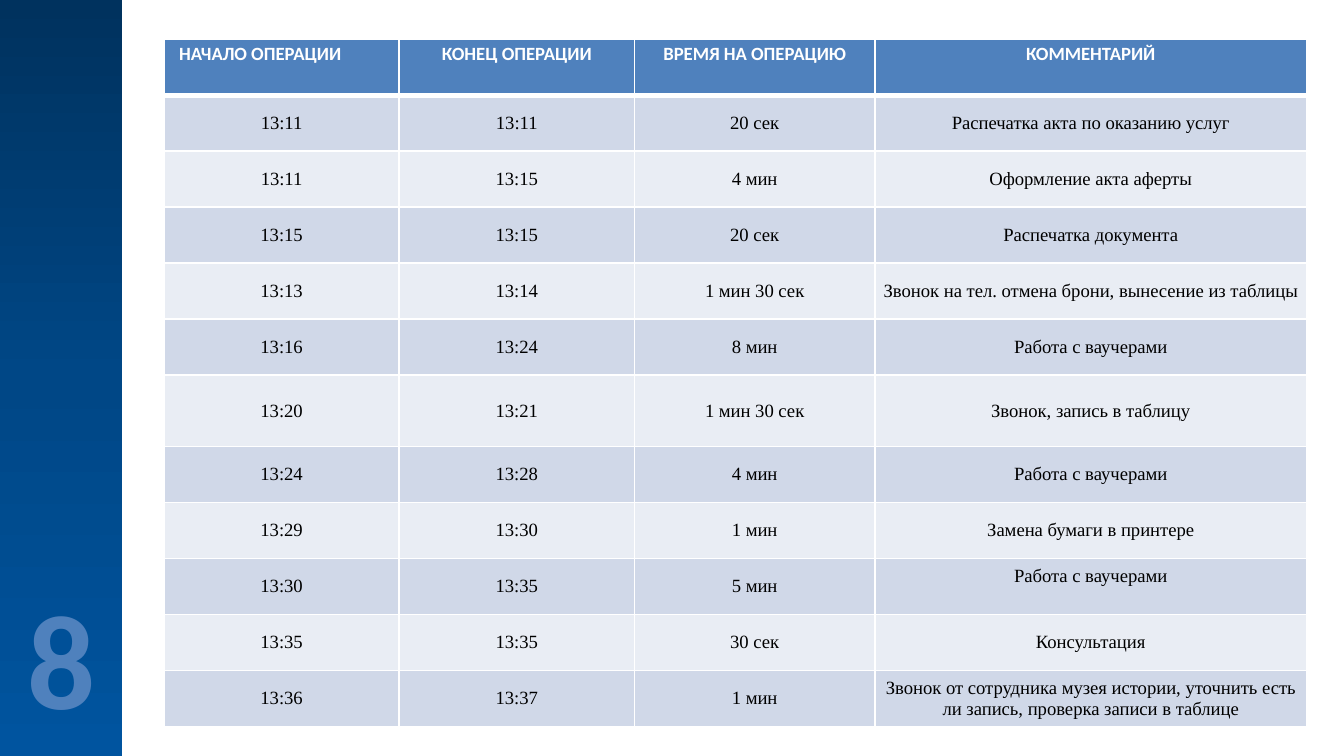
from copy import deepcopy

from pptx import Presentation
from pptx.dml.color import RGBColor
from pptx.enum.shapes import MSO_SHAPE
from pptx.enum.text import MSO_ANCHOR, MSO_AUTO_SIZE, PP_ALIGN
from pptx.oxml import parse_xml
from pptx.oxml.ns import nsdecls, qn
from pptx.util import Inches, Pt

RECTANGLE = MSO_SHAPE.RECTANGLE
CENTER = PP_ALIGN.CENTER
TOP, MIDDLE = MSO_ANCHOR.TOP, MSO_ANCHOR.MIDDLE
FIT_SHAPE = MSO_AUTO_SIZE.SHAPE_TO_FIT_TEXT

HEADINGS = ("НАЧАЛО ОПЕРАЦИИ", "КОНЕЦ ОПЕРАЦИИ", "ВРЕМЯ НА ОПЕРАЦИЮ", "КОММЕНТАРИЙ")
OPERATIONS = [
    ("13:11", "13:11", "20 сек", "Распечатка акта по оказанию услуг"),
    ("13:11", "13:15", "4 мин", "Оформление акта аферты"),
    ("13:15", "13:15", "20 сек", "Распечатка документа"),
    ("13:13", "13:14", "1 мин 30 сек", "Звонок на тел. отмена брони, вынесение из таблицы"),
    ("13:16", "13:24", "8 мин", "Работа с ваучерами"),
    ("13:20", "13:21", "1 мин 30 сек", "Звонок, запись в таблицу"),
    ("13:24", "13:28", "4 мин", "Работа с ваучерами"),
    ("13:29", "13:30", "1 мин", "Замена бумаги в принтере"),
    ("13:30", "13:35", "5 мин", "Работа с ваучерами"),
    ("13:35", "13:35", "30 сек", "Консультация"),
    ("13:36", "13:37", "1 мин",
     "Звонок от сотрудника музея истории, уточнить есть ли запись, проверка записи в таблице"),
]
PAGE_NUMBER = "8"

SIDEBAR_STOPS = [(0, "00325E"), (0.5, "004786"), (1, "00549F")]
BLUE, WHITE, BLACK = "4F81BD", "FFFFFF", "000000"
STRIPES = ("D0D8E8", "E9EDF4")

SLIDE_W = 10
SLIDE_H = SLIDE_W * 9 / 16
SIDEBAR_W = 0.91
TABLE_LEFT, TABLE_TOP, TABLE_W, TABLE_H = 1.22, 0.29, 8.5, 5.12
COLUMN_WIDTHS = (1.75, 1.75, 1.79, 3.21)
TALL_ROW, TALL_ROW_H = 6, 0.53

HEADING_FONT = {"name": "Calibri", "size": Pt(10), "bold": True}
BODY_FONT = {"name": "Times New Roman", "size": Pt(10), "bold": False}
NUMBER_FONT = {"name": "Calibri", "size": Pt(72), "bold": True}
HEADING_CELL = {"vertical_anchor": TOP}
BODY_CELL = {
    "vertical_anchor": MIDDLE,
    "margin_left": Inches(0.03), "margin_right": Inches(0.03),
    "margin_top": Inches(0.02), "margin_bottom": Inches(0.02),
}
CELL_EXCEPTIONS = {
    (0, 0): {"margin_left": Inches(0), "margin_right": Inches(0.32)},
    (9, 3): {"margin_bottom": Inches(0.17)},
}


def rgb(color):
    return RGBColor.from_string(color)


def apply(target, values):
    for name, value in values.items():
        setattr(target, name, value)


def line(tag, color, points):
    return parse_xml(
        f'<a:{tag} {nsdecls("a")} w="{Pt(points)}"><a:solidFill>'
        f'<a:srgbClr val="{color}"/></a:solidFill></a:{tag}>'
    )


def add_sidebar(slide):
    sidebar = slide.shapes.add_shape(RECTANGLE, 0, 0, Inches(SIDEBAR_W), Inches(SLIDE_H))
    sidebar.shadow.inherit = False
    sidebar.line.fill.background()
    fill = sidebar.fill
    fill.gradient()
    fill.gradient_angle = 270
    stop_list = sidebar._element.spPr.find(qn("a:gradFill")).find(qn("a:gsLst"))
    stop_list.append(deepcopy(stop_list[0]))
    for stop, (position, color) in zip(fill.gradient_stops, SIDEBAR_STOPS):
        stop.position = position
        stop.color.rgb = rgb(color)


def add_page_number(slide):
    number = slide.shapes.add_textbox(Inches(0.1), Inches(4.23), Inches(0.71), Inches(1.31))
    apply(number.text_frame, {"word_wrap": False, "auto_size": FIT_SHAPE})
    paragraph = number.text_frame.paragraphs[0]
    paragraph.alignment = CENTER
    run = paragraph.add_run()
    run.text = PAGE_NUMBER
    apply(run.font, NUMBER_FONT)
    run.font.fill.background()
    run._r.get_or_add_rPr().insert(0, line("ln", BLUE, 1.25))


def fill_cell(cell, text, row, column):
    heading = row == 0
    apply(cell, HEADING_CELL if heading else BODY_CELL)
    apply(cell, CELL_EXCEPTIONS.get((row, column), {}))
    cell.fill.solid()
    cell.fill.fore_color.rgb = rgb(BLUE if heading else STRIPES[(row - 1) % 2])
    widths = {"lnL": 1, "lnR": 1, "lnT": 3 if row == 1 else 1, "lnB": 3 if heading else 1}
    properties = cell._tc.get_or_add_tcPr()
    for index, (side, points) in enumerate(widths.items()):
        properties.insert(index, line(side, WHITE, points))
    paragraph = cell.text_frame.paragraphs[0]
    paragraph.alignment = CENTER
    if heading:
        paragraph.line_spacing = 0.8
    run = paragraph.add_run()
    run.text = text
    apply(run.font, HEADING_FONT if heading else BODY_FONT)
    run.font.color.rgb = rgb(WHITE if heading else BLACK)


def add_operations(slide):
    rows = [HEADINGS, *OPERATIONS]
    table = slide.shapes.add_table(
        len(rows), len(HEADINGS),
        Inches(TABLE_LEFT), Inches(TABLE_TOP), Inches(TABLE_W), Inches(TABLE_H),
    ).table
    for column, width in zip(table.columns, COLUMN_WIDTHS):
        column.width = Inches(width)
    row_height = (TABLE_H - TALL_ROW_H) / (len(rows) - 1)
    for r, texts in enumerate(rows):
        table.rows[r].height = Inches(TALL_ROW_H if r == TALL_ROW else row_height)
        for c, text in enumerate(texts):
            fill_cell(table.cell(r, c), text, r, c)


def main():
    presentation = Presentation()
    presentation.slide_width = Inches(SLIDE_W)
    presentation.slide_height = Inches(SLIDE_H)
    slide = presentation.slides.add_slide(presentation.slide_layouts[6])
    add_sidebar(slide)
    add_page_number(slide)
    add_operations(slide)
    presentation.save("out.pptx")


if __name__ == "__main__":
    main()
